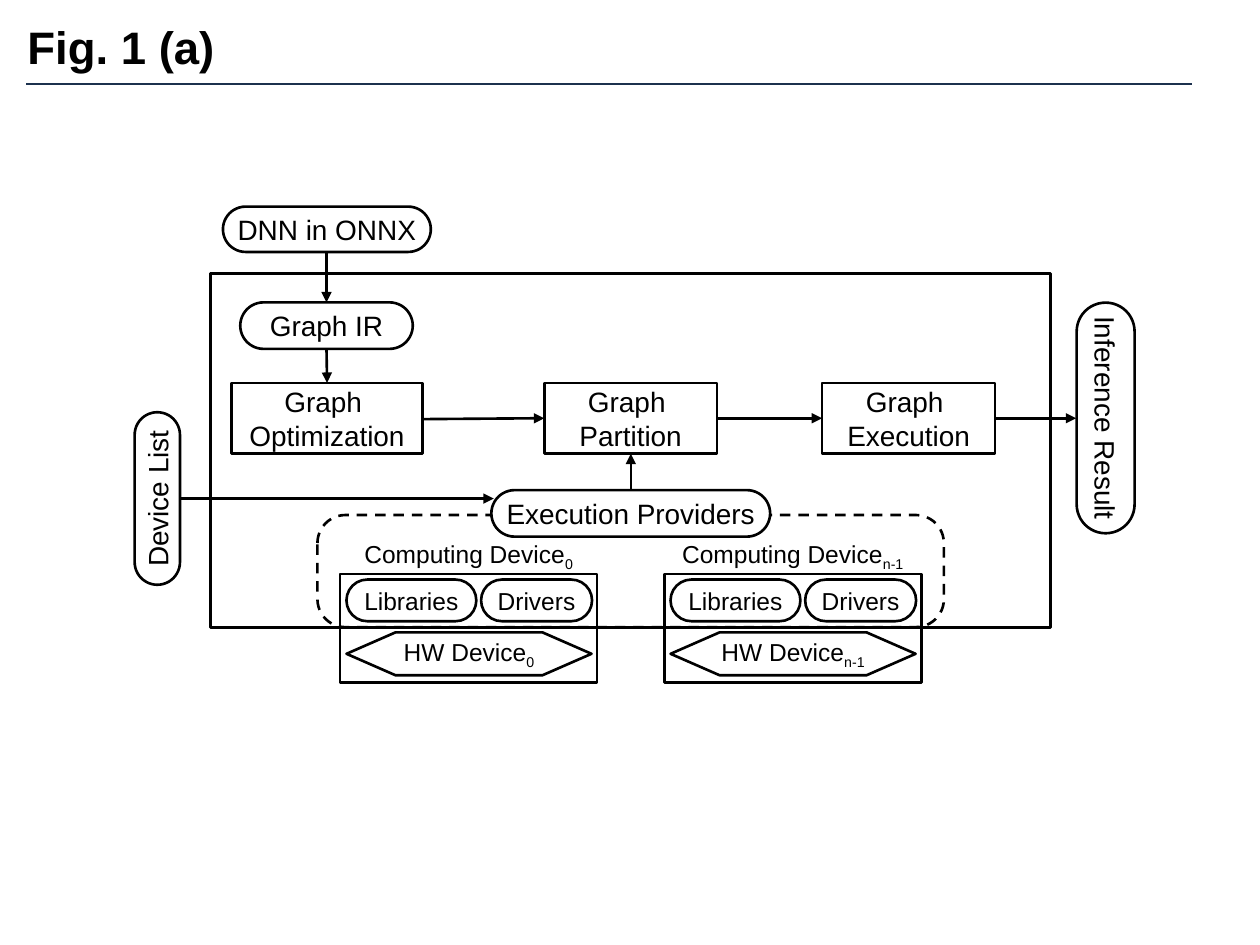
"""Builds the slide showing the inference framework and its computing devices."""
from lxml import etree
from pptx import Presentation
from pptx import util as u
from pptx.dml.color import RGBColor
from pptx.enum import dml, shapes, text
from pptx.oxml.ns import qn

Pt = u.Pt
KIND = shapes.MSO_SHAPE
RECT, ROUND, HEX = KIND.RECTANGLE, KIND.ROUNDED_RECTANGLE, KIND.FLOWCHART_PREPARATION
hue = RGBColor.from_string

deck = Presentation()
deck.slide_width, deck.slide_height = Pt(720), Pt(540)
slide = deck.slides.add_slide(deck.slide_layouts[6])


def draw(kind, x, y, w, h, lines=(), size=16, sub="", edge=True):
    box = slide.shapes.add_shape(kind, Pt(x), Pt(y), Pt(w), Pt(h))
    box.shadow.inherit = False
    box.fill.background()
    if kind == ROUND:
        box.adjustments[0] = 0.5
    if edge:
        box.line.color.rgb = hue("000000")
        box.line.width = Pt(1.5)
    else:
        box.line.fill.background()
    frame = box.text_frame
    frame.word_wrap = False
    frame.margin_left = frame.margin_right = frame.margin_top = frame.margin_bottom = 0
    frame.vertical_anchor = text.MSO_ANCHOR.MIDDLE if edge else text.MSO_ANCHOR.TOP
    for i, line in enumerate(lines):
        para = frame.paragraphs[0] if i == 0 else frame.add_paragraph()
        para.alignment = text.PP_ALIGN.CENTER
        for part in filter(None, (line, sub)):
            run = para.add_run()
            run.text = part
            run.font.name, run.font.size = "Arial", Pt(size)
            run.font.color.rgb = hue("000000")
        if sub:
            run.font._element.set("baseline", "-25000")
    return box


def link(x1, y1, x2, y2, color="000000", width=1.5, head=True):
    line = slide.shapes.add_connector(
        shapes.MSO_CONNECTOR.STRAIGHT, Pt(x1), Pt(y1), Pt(x2), Pt(y2))
    line.line.color.rgb = hue(color)
    line.line.width = Pt(width)
    if head:
        etree.SubElement(line.line._get_or_add_ln(), qn("a:tailEnd"), type="triangle")
    etree.SubElement(line._element.spPr, qn("a:effectLst"))


link(15.1, 48.2, 681.1, 48.2, "1C314E", 1, False)
title = slide.shapes.add_textbox(Pt(8.6), Pt(7.6), Pt(661.7), Pt(50)).text_frame
title.word_wrap = True
run = title.paragraphs[0].add_run()
run.text = "Fig. 1 (a)"
run.font.name, run.font.size, run.font.bold = "Arial", Pt(26), True
run.font.color.rgb = hue("000000")

draw(RECT, 120.2, 156.4, 480, 202.3)
for x, w, step in (
    (132.4, 109, "Optimization"),
    (311, 98.8, "Partition"),
    (469.8, 98.8, "Execution"),
):
    draw(RECT, x, 218.8, w, 40.5, ["Graph ", step])

draw(ROUND, 127.4, 118.1, 118.8, 25.9, ["DNN in ONNX"])
draw(ROUND, 137.3, 172.8, 98.6, 26.6, ["Graph IR"])
draw(ROUND, 40.6, 271.9, 98.6, 25.9, ["Device List"]).rotation = 270
draw(ROUND, 565.9, 222.3, 131.8, 33.1, ["Inference Result"]).rotation = 90

for x, sub in ((194.4, "0"), (379.6, "n-1")):
    draw(ROUND, x + 2.9, 304.6, 141.1, 23.8, ["Computing Device"], 14, sub, False)
    draw(ROUND, x + 3.6, 331.2, 74.2, 23.8, ["Libraries"], 14)
    draw(ROUND, x + 80.5, 331.2, 63.4, 23.8, ["Drivers"], 14)
    draw(HEX, x + 3.6, 361.4, 140, 24.5, ["HW Device"], 14, sub)
    draw(RECT, x, 328, 146.9, 61.9)

dash = draw(ROUND, 181.4, 294.3, 358, 64.1)
dash.adjustments[0] = 0.25
dash.line.dash_style = dml.MSO_LINE.DASH
hub = draw(ROUND, 280.8, 280.1, 159.3, 26.6, ["Execution Providers"])
hub.fill.solid()
hub.fill.fore_color.rgb = hue("FFFFFF")

for ends in (
    (186.6, 144, 186.6, 172.8),
    (186.6, 199.4, 186.9, 218.8),
    (241.4, 239.5, 311, 239),
    (409.8, 239, 469.8, 239),
    (568.6, 239, 615, 239),
    (103, 284.9, 282.2, 284.9),
    (360.5, 280.1, 360.5, 259.3),
):
    link(*ends)

deck.save("out.pptx")
